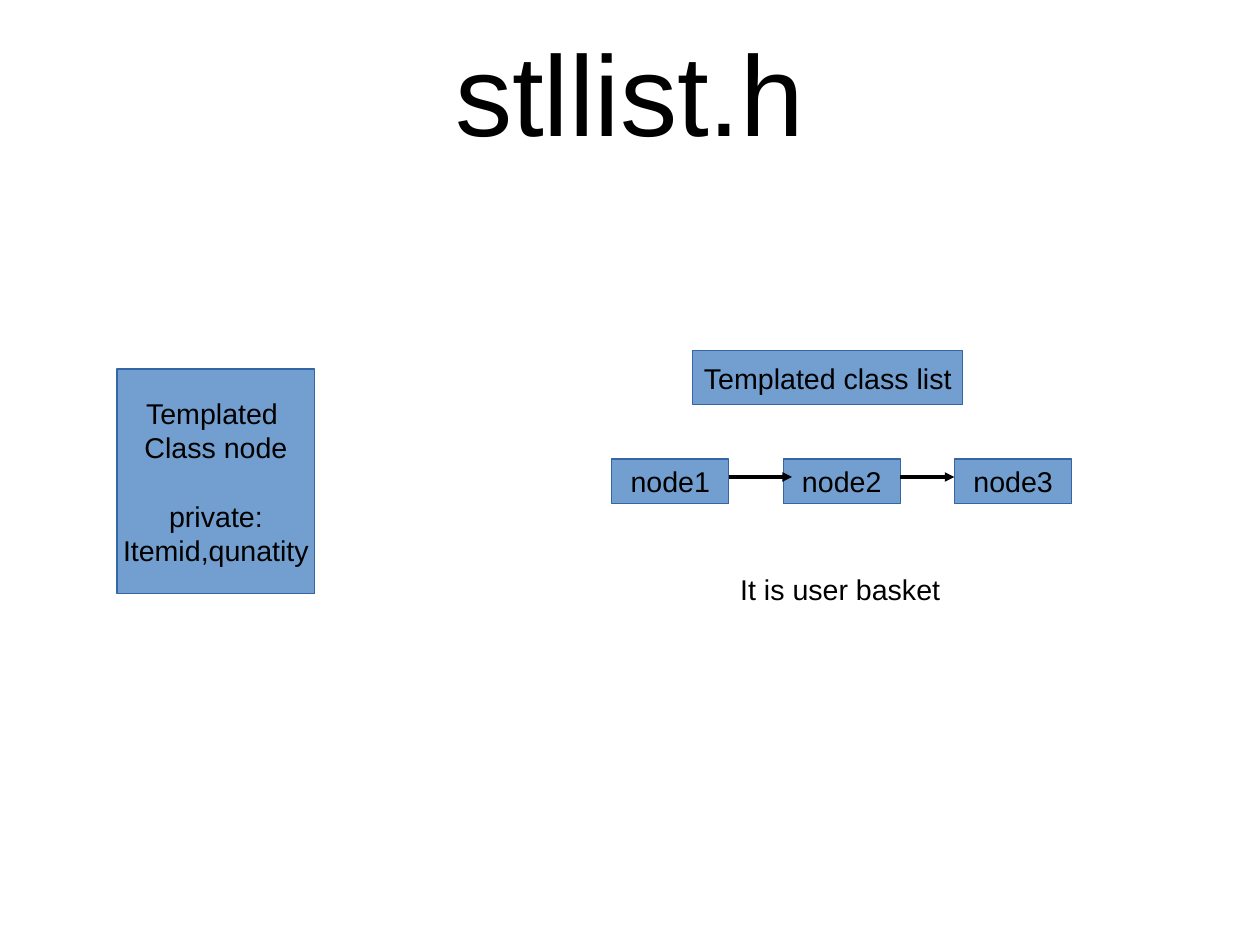
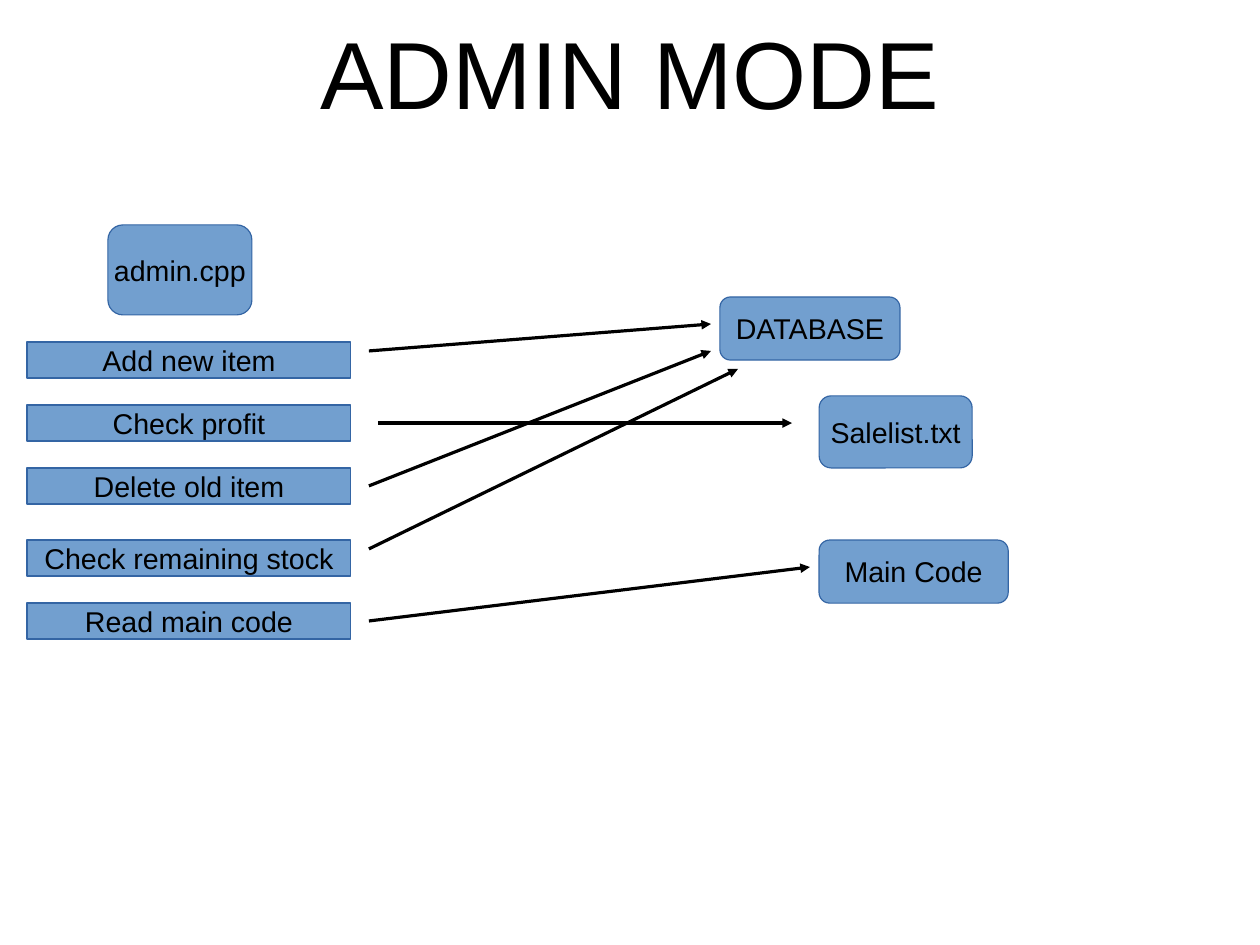
from dataclasses import dataclass

from lxml import etree
from pptx import Presentation
from pptx.dml.color import RGBColor
from pptx.enum import shapes, text
from pptx.oxml import ns
from pptx.util import Pt


@dataclass(frozen=True)
class Theme:
    font: str = "Arial"
    ink: RGBColor = RGBColor(0x00, 0x00, 0x00)
    fill: RGBColor = RGBColor(0x72, 0x9F, 0xCF)
    outline: RGBColor = RGBColor(0x34, 0x65, 0xA4)
    body_size: float = 18
    file_title_size: float = 72
    mode_title_size: float = 60


THEME = Theme()
RECT = shapes.MSO_SHAPE.RECTANGLE
ROUNDED = shapes.MSO_SHAPE.ROUNDED_RECTANGLE
CENTER = text.PP_ALIGN.CENTER
LEFT = text.PP_ALIGN.LEFT


def write(frame, lines, size=THEME.body_size, align=CENTER,
          anchor=text.MSO_ANCHOR.MIDDLE, wrap=False, margins=(7.2, 3.6),
          gaps=None):
    frame.word_wrap = wrap
    frame.vertical_anchor = anchor
    frame.margin_left = frame.margin_right = Pt(margins[0])
    frame.margin_top = frame.margin_bottom = Pt(margins[1])
    for index, line in enumerate(lines):
        paragraph = frame.add_paragraph() if index else frame.paragraphs[0]
        paragraph.alignment = align
        paragraph.space_before = Pt((gaps or {}).get(index, 0))
        run = paragraph.add_run()
        run.text = line
        run.font.name = THEME.font
        run.font.size = Pt(size)
        run.font.color.rgb = THEME.ink


def add_titled_slide(deck, heading, top, height, size):
    slide = deck.slides.add_slide(deck.slide_layouts[5])
    title = slide.shapes.title
    title.left, title.top = Pt(39.6), Pt(top)
    title.width, title.height = Pt(714.2), Pt(height)
    write(title.text_frame, [heading], size=size, wrap=True, margins=(0, 0))
    return slide


def add_box(slide, lines, left, top, width, height, kind=RECT, gaps=None):
    box = slide.shapes.add_shape(kind, Pt(left), Pt(top), Pt(width), Pt(height))
    box.shadow.inherit = False
    box.fill.solid()
    box.fill.fore_color.rgb = THEME.fill
    box.line.color.rgb = THEME.outline
    box.line.width = Pt(0)
    write(box.text_frame, lines, gaps=gaps)


def add_arrow(slide, start, end):
    arrow = slide.shapes.add_connector(
        shapes.MSO_CONNECTOR.STRAIGHT, *map(Pt, start + end))
    arrow.line.color.rgb = THEME.ink
    arrow.line.width = Pt(0)
    outline = arrow.line._get_or_add_ln()
    etree.SubElement(outline, ns.qn("a:tailEnd"), type="triangle")
    etree.SubElement(arrow._element.spPr, ns.qn("a:effectLst"))


def add_caption(slide, caption, left, top, width, height):
    box = slide.shapes.add_textbox(Pt(left), Pt(top), Pt(width), Pt(height))
    write(box.text_frame, [caption], align=LEFT,
          anchor=text.MSO_ANCHOR.TOP, wrap=True)


def build_list_slide(deck):
    slide = add_titled_slide(deck, "stllist.h", 16.6, 80.6,
                             THEME.file_title_size)
    class_lines = ["Templated ", "Class node", "private:", "Itemid,qunatity"]
    add_box(slide, class_lines, 73.7, 232.4, 124.7, 141.7, gaps={2: 21.6})
    node_left, node_pitch = 385.4, 108
    for index in range(3):
        add_box(slide, [f"node{index + 1}"], node_left + index * node_pitch,
                289.2, 73.7, 28.3)
    link_y = 300.5
    for start_x, end_x in ((459.2, 498.9), (566.9, 601.2)):
        add_arrow(slide, (start_x, link_y), (end_x, link_y))
    add_caption(slide, "It is user basket", 459.2, 357, 187.2, 27.6)
    add_box(slide, ["Templated class list"], 436.4, 221, 170.1, 34)


def build_admin_slide(deck):
    slide = add_titled_slide(deck, "ADMIN MODE", 11.3, 67.7,
                             THEME.mode_title_size)
    files = (
        ("admin.cpp", 68, 141.7, 90.7, 56.7),
        ("DATABASE", 453.5, 187.1, 113.4, 39.7),
        ("Salelist.txt", 516, 249.4, 96.4, 45.4),
        ("Main Code", 516, 340.2, 119.1, 39.7),
    )
    for name, *place in files:
        add_box(slide, [name], *place, kind=ROUNDED)

    action_pitch = 39.7
    action_groups = (
        (215.4, ("Add new item", "Check profit", "Delete old item")),
        (340.2, ("Check remaining stock", "Read main code")),
    )
    for top, actions in action_groups:
        for index, action in enumerate(actions):
            add_box(slide, [action], 17, top + index * action_pitch,
                    204.1, 22.7)

    file_accesses = (
        ((232.4, 221.1), (447.9, 204.1)),
        ((238.1, 266.5), (498.9, 266.5)),
        ((232.4, 306.1), (447.9, 221.1)),
        ((232.4, 345.8), (464.9, 232.4)),
        ((232.4, 391.2), (510.2, 357.2)),
    )
    for start, end in file_accesses:
        add_arrow(slide, start, end)


def main():
    deck = Presentation()
    deck.slide_width, deck.slide_height = Pt(793.7), Pt(595.3)
    build_list_slide(deck)
    build_admin_slide(deck)
    deck.save("out.pptx")


if __name__ == "__main__":
    main()
